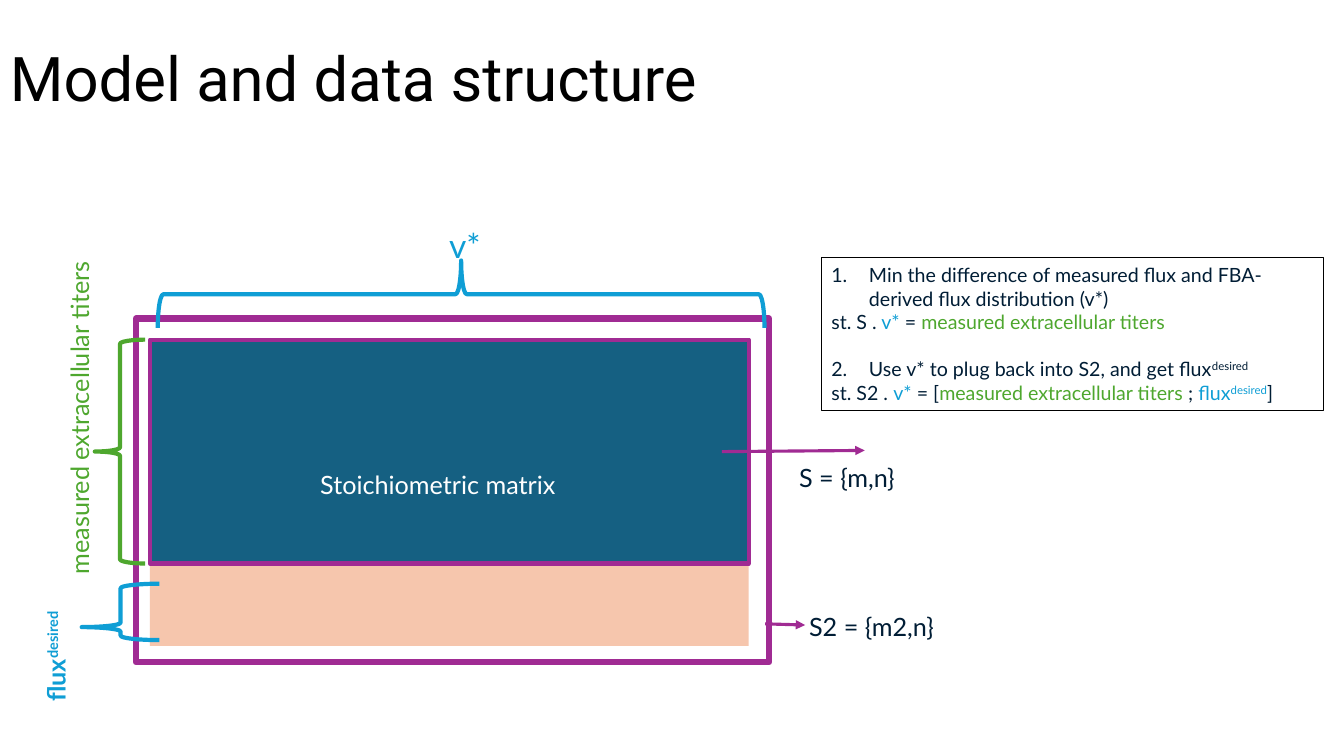
from dataclasses import dataclass

from lxml import etree
from pptx import Presentation
from pptx import util as u
from pptx.dml import color
from pptx.enum import shapes, text
from pptx.oxml import ns

INK, BLUE, GREEN, PLUM = "001D35", "0F9ED5", "4EA72E", "A02B93"
TEAL, PEACH, BLACK, WHITE = "156082", "F6C6AD", "000000", "FFFFFF"
KIND = shapes.MSO_SHAPE


@dataclass
class Run:
    text: str
    hue: str = INK
    sup: bool = False
    bold: bool = False


@dataclass
class Para:
    runs: list[Run]
    num: int = 0
    gap: float = 0


@dataclass
class Form:
    area: tuple[float, float, float, float]
    fill: str = ""
    line: str = ""
    width: float = 3
    kind: KIND = KIND.RECTANGLE
    turn: int = 0
    bend: tuple[float, float] = ()


@dataclass
class Label:
    area: tuple[float, float, float, float]
    runs: list[Run]
    size: int = 18
    turn: int = 0
    font: str = "Lato"


@dataclass
class Arrow:
    start: tuple[float, float]
    end: tuple[float, float]


FORMS = [
    Form((3.78, 14.17, 15.09, 2.11), fill=PEACH),
    Form((3.43, 8.03, 15.95, 8.66), line=PLUM, width=4.5),
    Form((3.78, 8.56, 15.09, 5.64), fill=TEAL, line=PLUM),
    Form((2.39, 8.56, 1.27, 5.64), line=GREEN, kind=KIND.LEFT_BRACE),
    Form((10.77, -0.23, 1.7, 15.29), line=BLUE, kind=KIND.LEFT_BRACE, turn=90),
    Form((2.06, 14.71, 1.96, 1.42), line=BLUE, kind=KIND.LEFT_BRACE,
         bend=(0.08, 0.77)),
]
ARROWS = [
    Arrow((19.28, 15.72), (20.29, 15.75)),
    Arrow((18.19, 11.38), (21.79, 11.35)),
]
TITERS = "measured extracellular titers"
LABELS = [
    Label((0, 0.1, 29.21, 3.68), [Run("Model and data structure", BLACK)],
          size=44, font="Roboto"),
    Label((20.14, 15.27, 7.01, 1.02), [Run("S2 = {m2,n}")]),
    Label((19.89, 11.51, 7.01, 1.02), [Run("S = {m,n}")]),
    Label((7.82, 11.71, 7.01, 1.02), [Run("Stoichiometric matrix", WHITE)]),
    Label((-2.34, 9.88, 8.66, 1.02), [Run(TITERS, GREEN)], turn=270),
    Label((11.07, 5.54, 1.78, 1.27), [Run("v*", BLUE)], size=24),
    Label((-0.81, 15.21, 4.42, 1.02),
          [Run("flux", BLUE, bold=True),
           Run("desired", BLUE, sup=True, bold=True)], turn=270),
]
STEPS = [
    Para([Run("Min the difference of measured flux and FBA-derived flux "
              "distribution (v*)")], num=1),
    Para([Run("st. S ."), Run(" v* ", BLUE), Run("= "), Run(TITERS, GREEN)]),
    Para([Run("Use v* to plug back into S2, and get flux"),
          Run("desired", sup=True)], num=2, gap=16.8),
    Para([Run("st. S2 . "), Run("v* ", BLUE), Run("= ["),
          Run(TITERS + " ", GREEN), Run("; "), Run("flux", BLUE),
          Run("desired", BLUE, sup=True), Run("]")]),
]


def rgb(hue: str) -> color.RGBColor:
    return color.RGBColor.from_string(hue)


def cms(*nums: float) -> list[u.Cm]:
    return [u.Cm(n) for n in nums]


def add_form(slide, form: Form):
    shape = slide.shapes.add_shape(form.kind, *cms(*form.area))
    shape.shadow.inherit = False
    shape.rotation = form.turn
    for i, bend in enumerate(form.bend):
        shape.adjustments[i] = bend
    for part, hue in ((shape.fill, form.fill), (shape.line.fill, form.line)):
        if hue:
            part.solid()
            part.fore_color.rgb = rgb(hue)
        else:
            part.background()
    if form.line:
        shape.line.width = u.Pt(form.width)
    return shape


def add_arrow(slide, arrow: Arrow) -> None:
    link = slide.shapes.add_connector(
        shapes.MSO_CONNECTOR.STRAIGHT, *cms(*arrow.start, *arrow.end))
    link.line.color.rgb = rgb(PLUM)
    link.line.width = u.Pt(2.25)
    etree.SubElement(link.line._get_or_add_ln(), ns.qn("a:tailEnd"),
                     type="triangle")
    etree.SubElement(link._element.spPr, ns.qn("a:effectLst"))


def add_runs(para, runs: list[Run], size: int, face: str) -> None:
    for item in runs:
        run = para.add_run()
        run.text = item.text
        font = run.font
        font.size, font.name, font.bold = u.Pt(size), face, item.bold
        font.color.rgb = rgb(item.hue)
        if item.sup:
            run._r.get_or_add_rPr().set("baseline", "30000")


def add_label(slide, label: Label) -> None:
    box = slide.shapes.add_textbox(*cms(*label.area))
    box.rotation = label.turn
    frame = box.text_frame
    frame.word_wrap = True
    frame.vertical_anchor = text.MSO_ANCHOR.MIDDLE
    add_runs(frame.paragraphs[0], label.runs, label.size, label.font)


def add_steps(slide) -> None:
    """Draw the framed box with the two numbered steps."""
    area = (20.7, 6.5, 12.65, 3.84)
    frame = add_form(slide, Form(area, line=BLACK, width=0.75)).text_frame
    frame.word_wrap = True
    frame.vertical_anchor = text.MSO_ANCHOR.TOP
    for i, step in enumerate(STEPS):
        para = frame.add_paragraph() if i else frame.paragraphs[0]
        para.alignment = text.PP_ALIGN.LEFT
        para.space_before = u.Pt(step.gap)
        if step.num:
            props = para._p.get_or_add_pPr()
            props.set("marL", str(u.Cm(0.95)))
            props.set("indent", str(u.Cm(-0.95)))
            etree.SubElement(props, ns.qn("a:buFont"), typeface="+mj-lt")
            etree.SubElement(props, ns.qn("a:buAutoNum"),
                             type="arabicPeriod", startAt=str(step.num))
        add_runs(para, step.runs, 14, "Lato")


def main() -> None:
    deck = Presentation()
    deck.slide_width, deck.slide_height = cms(33.87, 19.05)
    slide = deck.slides.add_slide(deck.slide_layouts[6])
    for form in FORMS:
        add_form(slide, form)
    for arrow in ARROWS:
        add_arrow(slide, arrow)
    for label in LABELS:
        add_label(slide, label)
    add_steps(slide)
    deck.save("out.pptx")


if __name__ == "__main__":
    main()
